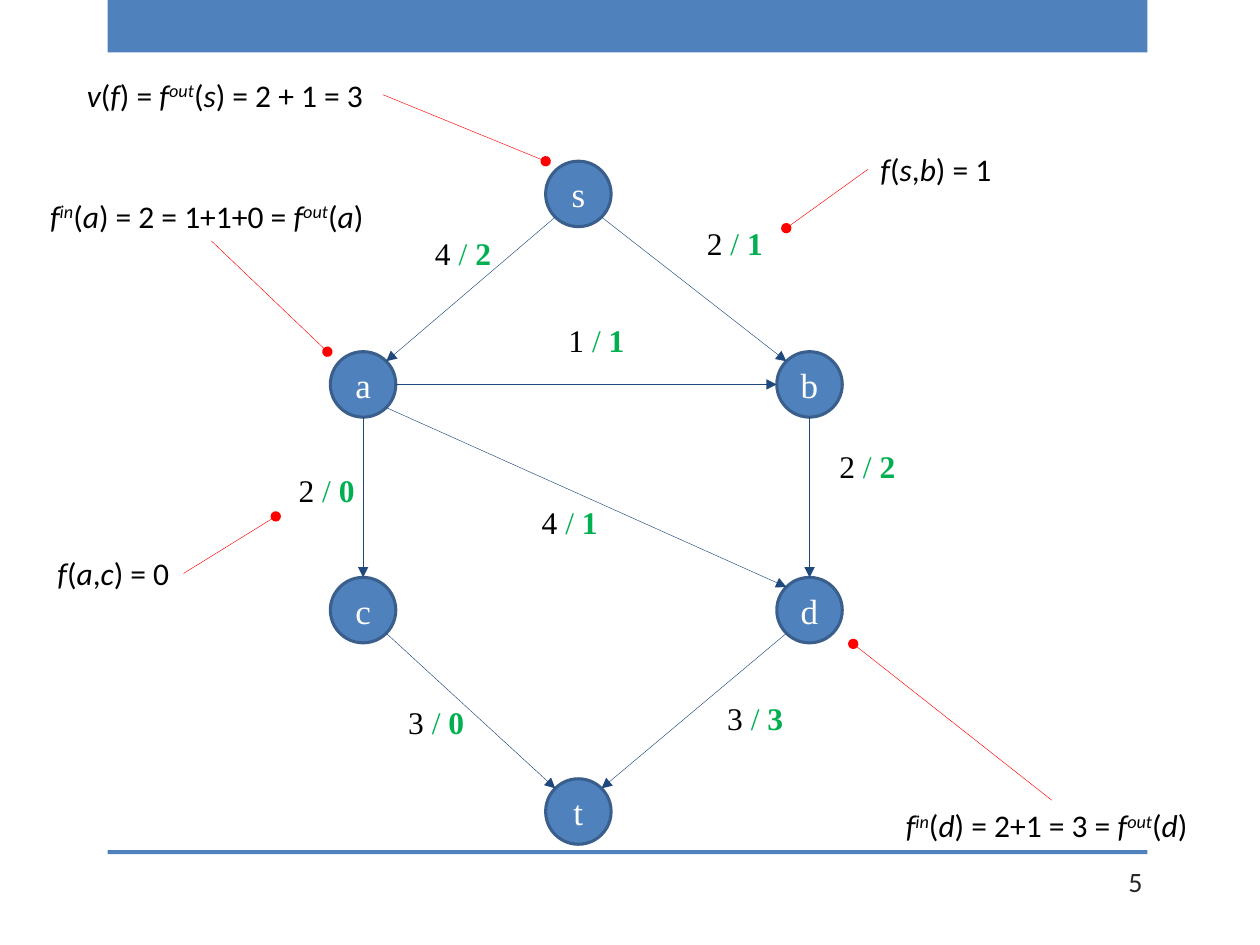
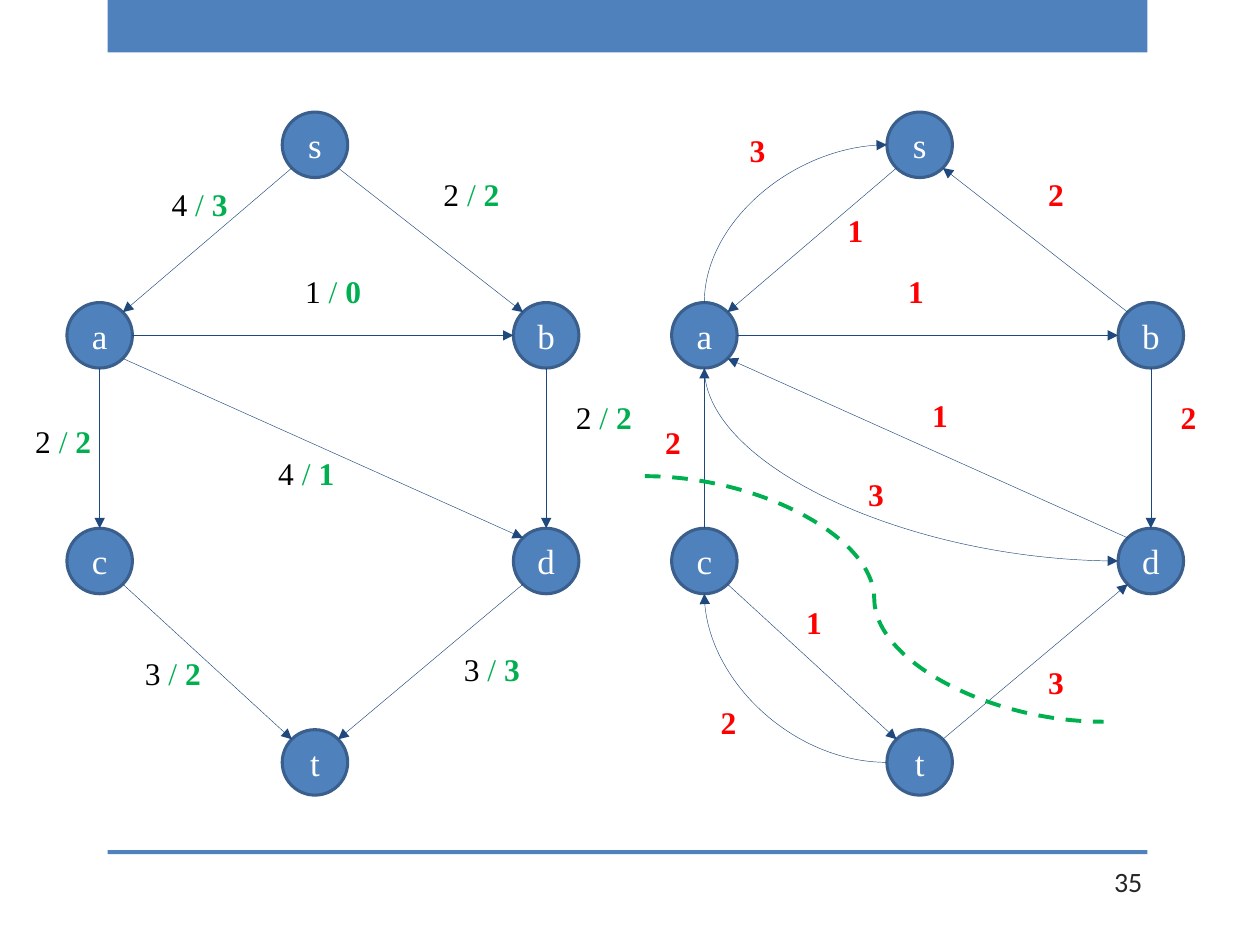
from dataclasses import dataclass
from itertools import groupby
from math import sqrt

from lxml.etree import SubElement
from pptx import Presentation
from pptx.dml.color import RGBColor as RGB
from pptx.enum.dml import MSO_LINE
from pptx.enum.shapes import MSO_CONNECTOR as LINK, MSO_SHAPE as SHAPE
from pptx.enum.text import MSO_ANCHOR as ANCHOR, MSO_AUTO_SIZE as FIT, PP_ALIGN as ALIGN
from pptx.oxml.ns import qn
from pptx.util import Cm, Pt


@dataclass(frozen=True)
class Theme:
    band: RGB = RGB(0x4F, 0x81, 0xBD)
    node_rim: RGB = RGB(0x3A, 0x5F, 0x8C)
    edge: RGB = RGB(0x1F, 0x49, 0x7D)
    flow: RGB = RGB(0x00, 0xB0, 0x50)
    accent: RGB = RGB(0xFF, 0x00, 0x00)
    ink: RGB = RGB(0, 0, 0)
    page: RGB = RGB(0x26, 0x26, 0x26)
    white: RGB = RGB(0xFF, 0xFF, 0xFF)
    graph_font: str = "Times New Roman"
    formula_font: str = "Calibri"
    node_size: Pt = Pt(20)
    label_size: Pt = Pt(18)
    page_size: Pt = Pt(16)
    thin: Pt = Pt(0.25)
    rim: Pt = Pt(1.75)
    cut: Pt = Pt(2.25)


THEME = Theme()

# Geometry in centimetres; graph positions are relative to the centre of node a
RADIUS = 0.66
LABEL_HEIGHT = 1.02
NODES = {"s": (4.34, -3.84), "t": (4.34, 8.61), "a": (0, 0),
         "b": (9, 0), "c": (0, 4.55), "d": (9, 4.55)}
DIAGONAL = 1 / sqrt(2)
# Connection sites of an ellipse: index and direction from the centre
SITES = {"top": (0, 0, -1), "top left": (1, -DIAGONAL, -DIAGONAL),
         "left": (2, -1, 0), "bottom left": (3, -DIAGONAL, DIAGONAL),
         "bottom": (4, 0, 1), "bottom right": (5, DIAGONAL, DIAGONAL),
         "right": (6, 1, 0), "top right": (7, DIAGONAL, -DIAGONAL)}
# Side of each node at which the straight edge between two nodes is attached
EDGE_SITES = {"sa": ("bottom left", "top right"), "sb": ("bottom right", "top left"),
              "ab": ("right", "left"), "ac": ("bottom", "top"),
              "bd": ("bottom", "top"), "ad": ("bottom right", "top left"),
              "ct": ("bottom right", "top left"), "dt": ("bottom left", "top right")}
FLOW_LABELS = {"sa": (1.2, -3.15), "sb": (6.68, -3.35), "ab": (3.89, -1.4),
               "ac": (-1.55, 1.63), "ad": (3.35, 2.26), "bd": (9.35, 1.14),
               "ct": (0.66, 6.3), "dt": (7.09, 6.22)}
TOP, LEFT, BOTTOM, RIGHT = range(4)


def apply(target, **formats):
    for attribute, value in formats.items():
        setattr(target, attribute, value)


def add_run(paragraph, text, color, superscript=False, **font):
    run = paragraph.add_run()
    run.text = text
    run.font.color.rgb = color
    apply(run.font, **font)
    if superscript:
        run.font._element.set("baseline", "30000")


def add_label(slide, left, top, width):
    """Add an empty one-line text box; return it with its paragraph."""
    label = slide.shapes.add_textbox(Cm(left), Cm(top), Cm(width), Cm(LABEL_HEIGHT))
    apply(label.text_frame, word_wrap=False, auto_size=FIT.SHAPE_TO_FIT_TEXT)
    return label, label.text_frame.paragraphs[0]


def add_bar(slide, top, height):
    bar = slide.shapes.add_shape(SHAPE.RECTANGLE, Cm(2.17), Cm(top), Cm(20.96), Cm(height))
    bar.shadow.inherit = False
    bar.fill.solid()
    bar.fill.fore_color.rgb = THEME.band
    bar.line.fill.background()


def add_frame(prs, page):
    """Start a slide with the shared band, footer rule and page number."""
    slide = prs.slides.add_slide(prs.slide_layouts[6])
    add_bar(slide, 0, 1.06)
    add_bar(slide, 17.14, 0.08)
    number = slide.shapes.add_textbox(Cm(21.18), Cm(17.25), Cm(2.1), Cm(LABEL_HEIGHT))
    apply(number.text_frame, word_wrap=True, vertical_anchor=ANCHOR.MIDDLE)
    paragraph = number.text_frame.paragraphs[0]
    paragraph.alignment = ALIGN.RIGHT
    add_run(paragraph, page, THEME.page, name=THEME.formula_font, size=THEME.page_size)
    return slide


def add_link(slide, kind, start, end, color, width=THEME.thin, head=None, tail=None):
    link = slide.shapes.add_connector(kind, *map(Cm, start + end))
    link.line.color.rgb = color
    link.line.width = width
    outline = link.line._get_or_add_ln()
    for tag, arrow in (("a:headEnd", head), ("a:tailEnd", tail)):
        if arrow:
            SubElement(outline, qn(tag), type=arrow)
    SubElement(link._element.spPr, qn("a:effectLst"))
    return link


# Graph parts
def add_node(slide, name, x, y):
    node = slide.shapes.add_shape(SHAPE.OVAL, Cm(x - RADIUS), Cm(y - RADIUS),
                                  Cm(2 * RADIUS), Cm(2 * RADIUS))
    node.shadow.inherit = False
    node.fill.solid()
    node.fill.fore_color.rgb = THEME.band
    node.line.color.rgb = THEME.node_rim
    node.line.width = THEME.rim
    apply(node.text_frame, margin_left=0, margin_right=0, word_wrap=False,
          vertical_anchor=ANCHOR.MIDDLE)
    paragraph = node.text_frame.paragraphs[0]
    paragraph.alignment = ALIGN.CENTER
    add_run(paragraph, name, THEME.white, name=THEME.graph_font, size=THEME.node_size)
    return node


def add_nodes(slide, origin):
    return {name: add_node(slide, name, origin[0] + dx, origin[1] + dy)
            for name, (dx, dy) in NODES.items()}


def add_edge(slide, nodes, origin, ends, sites, kind=LINK.STRAIGHT, **arrows):
    """Join two nodes, given as a pair of letters, at the named sites."""
    points = []
    for name, site in zip(ends, sites):
        _, dx, dy = SITES[site]
        x, y = NODES[name]
        points.append((origin[0] + x + RADIUS * dx, origin[1] + y + RADIUS * dy))
    edge = add_link(slide, kind, *points, THEME.edge, **arrows)
    joints = edge._element.nvCxnSpPr.cNvCxnSpPr
    for tag, name, site in zip(("a:stCxn", "a:endCxn"), ends, sites):
        SubElement(joints, qn(tag), id=str(nodes[name].shape_id), idx=str(SITES[site][0]))
    return edge


def add_straight_edge(slide, nodes, origin, ends):
    sites = EDGE_SITES.get(ends) or EDGE_SITES[ends[::-1]][::-1]
    add_edge(slide, nodes, origin, ends, sites, tail="triangle")


def add_curved_edge(slide, nodes, origin, ends, sites, **arrows):
    """Add a quarter curve that leaves its first node horizontally."""
    edge = add_edge(slide, nodes, origin, ends, sites, LINK.CURVE, **arrows)
    edge._element.spPr.find(qn("a:prstGeom")).set("prst", "curvedConnector2")


def add_flow_graph(slide, origin, flows):
    """Draw the network with a 'capacity / flow' label on each edge."""
    nodes = add_nodes(slide, origin)
    for ends in flows:
        add_straight_edge(slide, nodes, origin, ends)
    style = {"name": THEME.graph_font, "size": THEME.label_size}
    for ends, (capacity, flow) in flows.items():
        dx, dy = FLOW_LABELS[ends]
        _, paragraph = add_label(slide, origin[0] + dx, origin[1] + dy, 1.65)
        add_run(paragraph, capacity, THEME.ink, **style)
        add_run(paragraph, " / ", THEME.flow, **style)
        add_run(paragraph, flow, THEME.flow, bold=True, **style)


def add_residual_graph(slide, origin, edges, curves, residuals):
    nodes = add_nodes(slide, origin)
    for ends in edges:
        add_straight_edge(slide, nodes, origin, ends)
    for ends, sites, arrow_end in curves:
        add_curved_edge(slide, nodes, origin, ends, sites, **{arrow_end: "triangle"})
    for residual, dx, dy in residuals:
        _, paragraph = add_label(slide, origin[0] + dx, origin[1] + dy, 0.84)
        add_run(paragraph, residual, THEME.accent, bold=True,
                name=THEME.graph_font, size=THEME.label_size)


# Callouts
def add_formula(paragraph, formula):
    """Write letters in italics and the parts between ^ marks as superscripts."""
    style = {"name": THEME.formula_font, "size": THEME.label_size}
    for index, part in enumerate(formula.split("^")):
        for is_letter, chars in groupby(part, str.isalpha):
            add_run(paragraph, "".join(chars), THEME.ink, superscript=index % 2 == 1,
                    italic=is_letter, **style)


def add_callout(slide, formula, left, top, width, side, tip):
    label, paragraph = add_label(slide, left, top, width)
    add_formula(paragraph, formula)
    pointer = add_link(slide, LINK.STRAIGHT, (left, top), tip, THEME.accent, tail="oval")
    pointer.begin_connect(label, side)


# Slides
def build_flow_slide(prs):
    slide = add_frame(prs, "5")
    add_flow_graph(slide, (7.32, 7.75), {
        "sa": "42", "sb": "21", "ab": "11", "ac": "20",
        "bd": "22", "ad": "41", "ct": "30", "dt": "33"})
    for callout in (
        ("f(s,b) = 1", 17.5, 2.9, 2.79, LEFT, (15.85, 4.6)),
        ("f(a,c) = 0", 0.91, 11.05, 2.79, RIGHT, (5.56, 10.41)),
        ("f^in^(d) = 2+1 = 3 = f^out^(d)", 18.01, 16.13, 6.38, TOP, (17.2, 12.98)),
        ("f^in^(a) = 2 = 1+1+0 = f^out^(a)", 0.76, 3.84, 7.01, BOTTOM, (6.6, 7.09)),
        ("v(f) = f^out^(s) = 2 + 1 = 3", 1.5, 1.4, 6.22, RIGHT, (11, 3.25)),
    ):
        add_callout(slide, *callout)


def build_residual_slide(prs):
    slide = add_frame(prs, "35")
    add_flow_graph(slide, (2.01, 6.76), {
        "sa": "43", "sb": "22", "ab": "10", "ac": "22",
        "bd": "22", "ad": "41", "ct": "32", "dt": "33"})
    add_residual_graph(
        slide, (14.2, 6.76),
        edges=("sa", "bs", "ab", "ca", "bd", "da", "ct", "td"),
        curves=(("sa", ("left", "top"), "head"),
                ("da", ("left", "bottom"), "head"),
                ("tc", ("left", "bottom"), "tail")),
        residuals=(("1", 2.64, -2.64), ("2", 6.68, -3.35), ("1", 3.86, -1.4),
                   ("2", -1.04, 1.65), ("1", 4.34, 1.09), ("2", 9.35, 1.14),
                   ("1", 1.8, 5.28), ("3", 0.66, -4.24), ("3", 3.05, 2.69),
                   ("3", 6.68, 6.48), ("2", 0.08, 7.29)))
    # Minimum cut
    cut = add_link(slide, LINK.CURVE, (13, 9.6), (22.25, 14.55), THEME.flow, THEME.cut)
    cut.line.dash_style = MSO_LINE.DASH


def main():
    prs = Presentation()
    apply(prs, slide_width=Cm(25.4), slide_height=Cm(19.05))
    build_flow_slide(prs)
    build_residual_slide(prs)
    prs.save("out.pptx")


if __name__ == "__main__":
    main()
